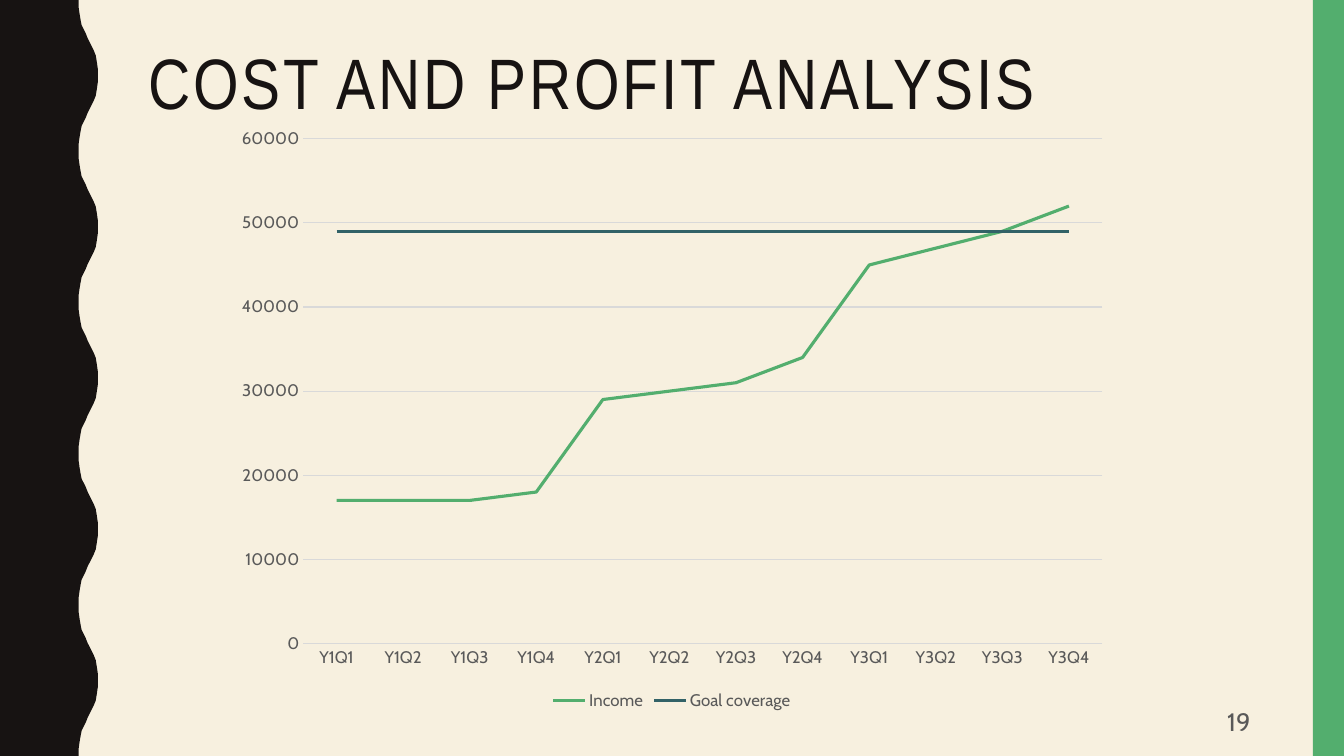
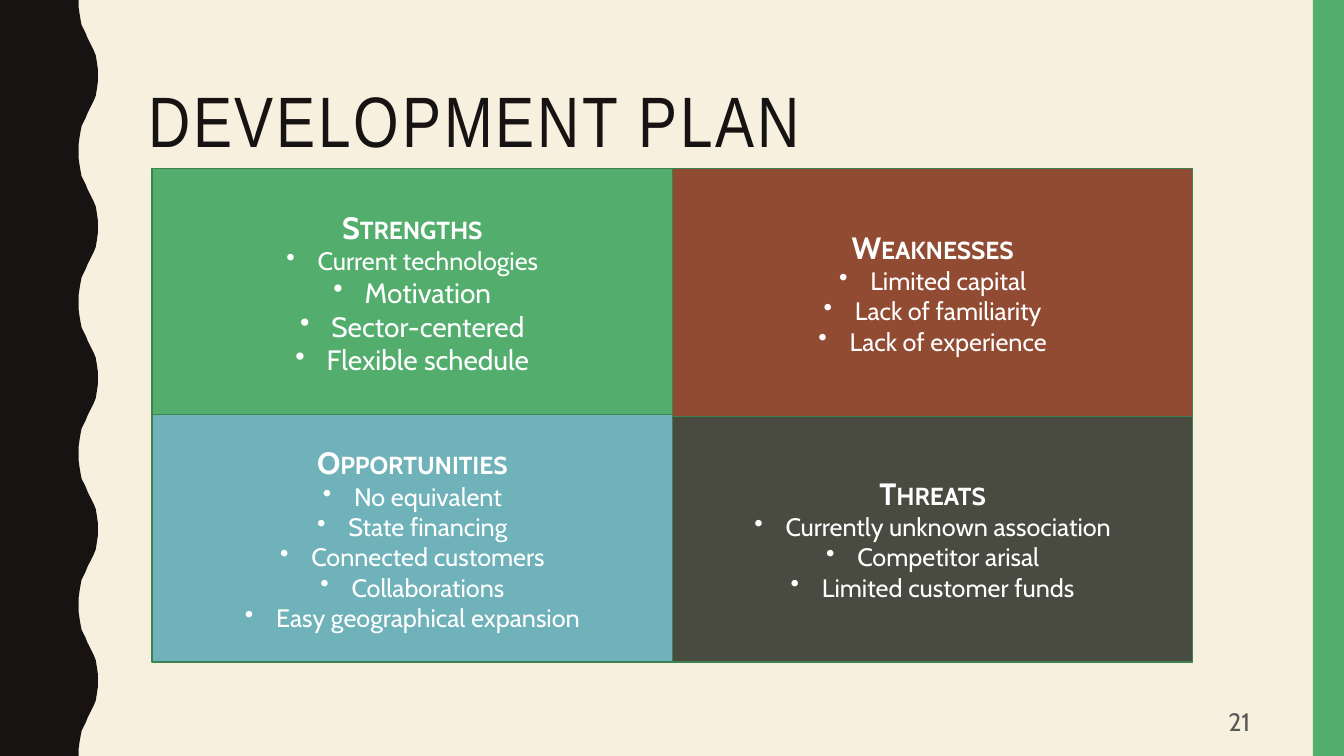
from dataclasses import dataclass

from lxml import etree
from pptx import Presentation
from pptx import util as u
from pptx.chart import data as chart_data
from pptx.dml import color
from pptx.enum import chart as chart_enum
from pptx.enum import shapes, text
from pptx.oxml import ns


@dataclass(frozen=True)
class Theme:
    paper: str = "F7F0DF"
    ink: str = "171312"
    green: str = "53AE6E"
    outline: str = "3D8151"
    rust: str = "914B32"
    sky: str = "6FB2B9"
    olive: str = "4A4B40"
    teal: str = "326267"
    grey: str = "595959"
    grid: str = "D9D9D9"
    white: str = "FFFFFF"
    title_font: str = "Arial Narrow"
    body_font: str = "Cabin"
    title_size: float = 51
    heading_size: float = 22
    large_size: float = 20
    body_size: float = 18
    chart_size: float = 12


THEME = Theme()
WAVE_PERIOD = 1.5
WAVE_COUNT = 5
HALF_WAVE = [
    (0.78, 0), (0.78, 0.07), (0.79, 0.14), (0.8, 0.2), (0.81, 0.25),
    (0.83, 0.29), (0.85, 0.33), (0.87, 0.38), (0.89, 0.42), (0.91, 0.46),
    (0.93, 0.5), (0.95, 0.55), (0.96, 0.61), (0.97, 0.68), (0.97, 0.75),
]


def rgb(value):
    return color.RGBColor.from_string(value)


class SlideWriter:
    def __init__(self, theme):
        self.theme = theme
        self.deck = Presentation()
        self.deck.slide_width = u.Inches(13.33)
        self.deck.slide_height = u.Inches(7.5)
        self.page = None
        background = self.deck.slide_master.background.fill
        background.solid()
        background.fore_color.rgb = rgb(theme.paper)

    def start_page(self, title, number, anchor):
        self.page = self.deck.slides.add_slide(self.deck.slide_layouts[5])
        if len(self.deck.slides) == 1:
            self.fill_master()
        self.add_title(title, anchor)
        self.add_number(number)

    def fill_master(self):
        tree = self.deck.slide_master.shapes.element
        for index, band in enumerate((self.add_wave(), self.add_stripe())):
            tree.insert(2 + index, band.element)

    def add_wave(self):
        wave = HALF_WAVE + [(x, WAVE_PERIOD - y) for x, y in HALF_WAVE[-2::-1]]
        edge = [(x, y + WAVE_PERIOD * turn)
                for turn in range(WAVE_COUNT) for x, y in wave]
        builder = self.page.shapes.build_freeform(0, 0)
        builder.add_line_segments(
            [(u.Inches(x), u.Inches(y)) for x, y in edge + [(0, 7.5)]])
        band = builder.convert_to_shape()
        self.paint(band, self.theme.ink)
        return band

    def add_stripe(self):
        return self.add_box(13.02, 0, 0.31, 7.5, self.theme.green)

    def add_box(self, left, top, width, height, fill, line=None):
        box = self.page.shapes.add_shape(
            shapes.MSO_SHAPE.RECTANGLE, u.Inches(left), u.Inches(top),
            u.Inches(width), u.Inches(height))
        self.paint(box, fill, line)
        return box

    def paint(self, shape, fill, line=None):
        shape.shadow.inherit = False
        shape.fill.solid()
        shape.fill.fore_color.rgb = rgb(fill)
        if line:
            shape.line.color.rgb = rgb(line)
            shape.line.width = u.Pt(1)
        else:
            shape.line.fill.background()

    def style_font(self, font, size, tint, name=None):
        font.name = name or self.theme.body_font
        font.size = u.Pt(size)
        font.color.rgb = rgb(tint)

    def add_span(self, para, words, size, tint, name=None):
        span = para.add_run()
        span.text = words
        self.style_font(span.font, size, tint, name)
        return span

    def add_title(self, words, anchor):
        box = self.page.shapes.title
        box.left, box.top = u.Inches(1.37), u.Inches(0.42)
        box.width, box.height = u.Inches(11.13), u.Inches(1.63)
        frame = box.text_frame
        frame.word_wrap = True
        frame.auto_size = text.MSO_AUTO_SIZE.NONE
        frame.vertical_anchor = anchor
        para = frame.paragraphs[0]
        para.alignment = text.PP_ALIGN.LEFT
        para.line_spacing = 0.9
        span = self.add_span(para, words, self.theme.title_size,
                             self.theme.ink, self.theme.title_font)
        span.font._element.set("spc", "200")

    def add_number(self, number):
        box = self.page.shapes.add_textbox(
            u.Inches(9.42), u.Inches(6.97), u.Inches(3.08), u.Inches(0.38))
        frame = box.text_frame
        frame.word_wrap = True
        frame.vertical_anchor = text.MSO_ANCHOR.MIDDLE
        para = frame.paragraphs[0]
        para.alignment = text.PP_ALIGN.RIGHT
        self.add_span(para, number, self.theme.body_size, self.theme.grey)

    def add_quadrant(self, left, top, fill, heading, items):
        box = self.add_box(left, top, 5.16, 2.46, fill, self.theme.outline)
        frame = box.text_frame
        frame.word_wrap = True
        frame.vertical_anchor = text.MSO_ANCHOR.MIDDLE
        para = frame.paragraphs[0]
        para.alignment = text.PP_ALIGN.CENTER
        span = self.add_span(para, heading, self.theme.heading_size,
                             self.theme.white)
        span.font.bold = True
        span.font._element.set("cap", "small")
        for words, size in items:
            self.add_bullet(frame.add_paragraph(), words, size)

    def add_bullet(self, para, words, size):
        para.alignment = text.PP_ALIGN.CENTER
        properties = para._p.get_or_add_pPr()
        indent = u.Inches(0.31)
        properties.set("marL", str(indent))
        properties.set("indent", str(-indent))
        bullet = etree.SubElement(properties, ns.qn("a:buChar"))
        bullet.set("char", "•")
        self.add_span(para, words, size, self.theme.white)

    def add_line_chart(self, categories, series):
        data = chart_data.CategoryChartData()
        data.categories = categories
        for name, values, tint in series:
            data.add_series(name, values)
        chart = self.page.shapes.add_chart(
            chart_enum.XL_CHART_TYPE.LINE, u.Inches(2.22), u.Inches(1.16),
            u.Inches(8.89), u.Inches(5.93), data).chart
        chart.has_title = False
        self.style_font(chart.font, self.theme.chart_size, self.theme.grey)
        chart.has_legend = True
        chart.legend.position = chart_enum.XL_LEGEND_POSITION.BOTTOM
        chart.legend.include_in_layout = False
        self.style_font(chart.legend.font, self.theme.chart_size,
                        self.theme.grey)
        self.style_axes(chart.category_axis, chart.value_axis)
        plot = chart.plots[0]
        plot.vary_by_categories = False
        for line, (name, values, tint) in zip(plot.series, series):
            line.smooth = False
            line.marker.style = chart_enum.XL_MARKER_STYLE.NONE
            self.style_line(line.format.line, tint, 2.25)

    def style_line(self, line, tint, width):
        line.color.rgb = rgb(tint)
        line.width = u.Pt(width)

    def style_axes(self, category_axis, value_axis):
        for axis in (category_axis, value_axis):
            axis.major_tick_mark = chart_enum.XL_TICK_MARK.NONE
            axis.minor_tick_mark = chart_enum.XL_TICK_MARK.NONE
            self.style_font(axis.tick_labels.font, self.theme.chart_size,
                            self.theme.grey)
        self.style_line(category_axis.format.line, self.theme.grid, 0.75)
        value_axis.minimum_scale = 0
        value_axis.maximum_scale = 60000
        value_axis.major_unit = 10000
        value_axis.format.line.fill.background()
        value_axis.has_major_gridlines = True
        self.style_line(value_axis.major_gridlines.format.line,
                        self.theme.grid, 0.75)


def add_cost_page(writer):
    writer.start_page("COST AND PROFIT ANALYSIS", "19", text.MSO_ANCHOR.TOP)
    quarters = [f"Y{year}Q{quarter}"
                for year in range(1, 4) for quarter in range(1, 5)]
    income = [17000, 17000, 17000, 18000, 29000, 30000,
              31000, 34000, 45000, 47000, 49000, 52000]
    writer.add_line_chart(quarters, [
        ("Income", income, THEME.green),
        ("Goal coverage", [49000] * len(quarters), THEME.teal),
    ])


def add_plan_page(writer):
    writer.start_page("DEVELOPMENT PLAN", "21", text.MSO_ANCHOR.MIDDLE)
    body, large = THEME.body_size, THEME.large_size
    quadrants = [
        (0, 0, THEME.green, "Strengths",
         [("Current technologies", body), ("Motivation", large),
          ("Sector-centered", large), ("Flexible schedule", large)]),
        (0, 1, THEME.sky, "Opportunities",
         [("No equivalent", body), ("State financing", body),
          ("Connected customers", body), ("Collaborations", body),
          ("Easy geographical expansion", body)]),
        (1, 1, THEME.olive, "Threats",
         [("Currently unknown association", body),
          ("Competitor arisal", body), ("Limited customer funds", body)]),
        (1, 0, THEME.rust, "Weaknesses",
         [("Limited capital", body), ("Lack of familiarity", body),
          ("Lack of experience", body)]),
    ]
    for column, row, fill, heading, items in quadrants:
        writer.add_quadrant(1.51 + 5.16 * column, 1.67 + 2.44 * row,
                            fill, heading, items)


def main():
    writer = SlideWriter(THEME)
    add_cost_page(writer)
    add_plan_page(writer)
    writer.deck.save("out.pptx")


if __name__ == "__main__":
    main()
